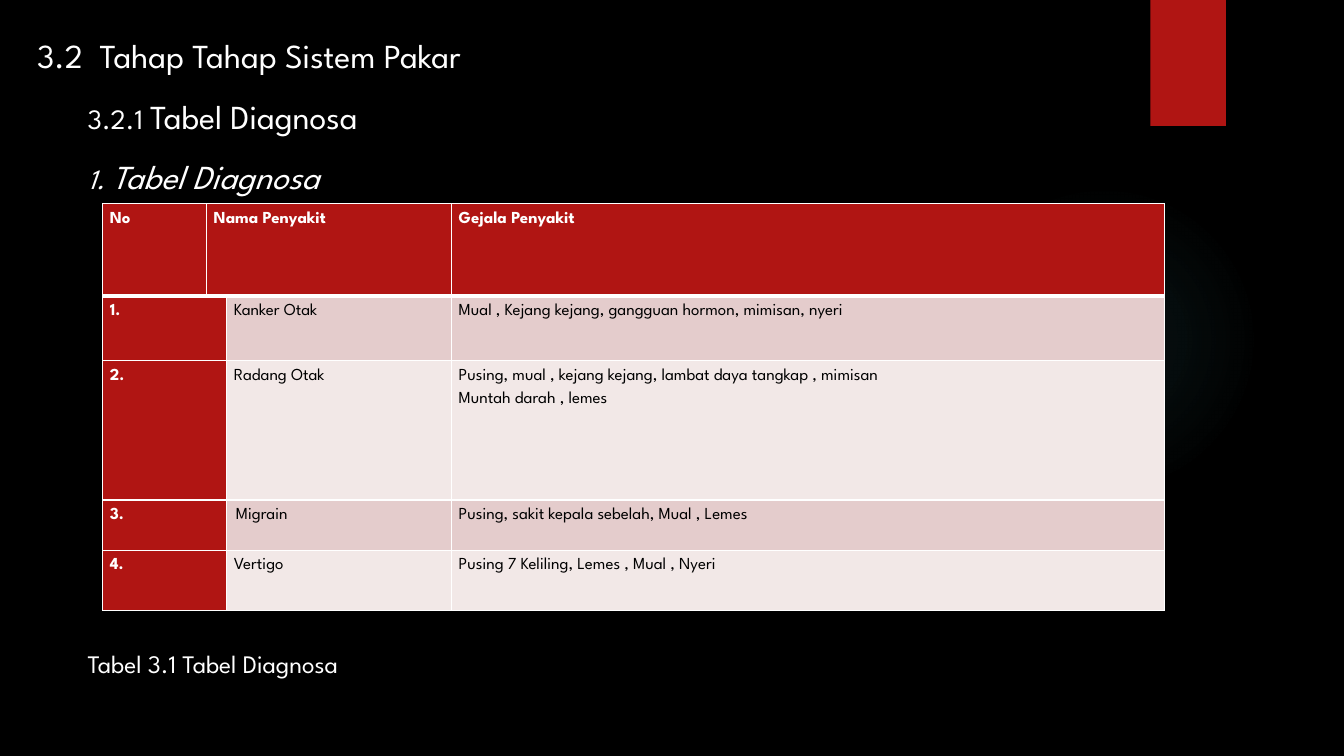
"""Build the diagnosis table slide of an expert-system presentation."""
from dataclasses import dataclass

from lxml import etree
from pptx import Presentation
from pptx import util as u
from pptx.dml.color import RGBColor
from pptx.enum import shapes, text
from pptx.oxml import ns

FONT = "League Spartan"
COLORS = {
    "black": "000000", "white": "FFFFFF", "red": "B01513",
    "glow": "50B9C1", "band_dark": "E4CCCC", "band_light": "F2E8E7",
}
BOX_LEFT, BOX_WIDTH = -0.23, 13.18
COLUMNS = [1.03, 0.2, 2.23, 7.07]
HEADERS = ["No", "Nama Penyakit", "Gejala Penyakit"]
HEADER_HEIGHT = 0.92


@dataclass
class Heading:
    number: str
    title: str
    number_size: int
    indent: float
    spacing: float = 1.5
    italic: bool = False


@dataclass
class Disease:
    name: str
    symptoms: list[str]
    height: float
    indent: float = 0


HEADINGS = [
    Heading("3.2  ", "Tahap Tahap Sistem Pakar", 24, 0.5, spacing=1),
    Heading("3.2.1 ", "Tabel Diagnosa", 20, 1),
    Heading("1. ", "Tabel Diagnosa", 20, 1, italic=True),
]
DISEASES = [
    Disease("Kanker Otak", ["Mual , Kejang kejang, gangguan hormon, mimisan, nyeri"], 0.64),
    Disease("Radang Otak", ["Pusing, mual , kejang kejang, lambat daya tangkap , mimisan",
                            "Muntah darah , lemes"], 1.38),
    Disease("Migrain", ["Pusing, sakit kepala sebelah, Mual , Lemes"], 0.5, indent=0.02),
    Disease("Vertigo", ["Pusing 7 Keliling, Lemes , Mual , Nyeri"], 0.6),
]


def rgb(name: str) -> RGBColor:
    return RGBColor.from_string(COLORS[name])


def add_run(p, content: str, *, size: float, color: str = "white",
            bold: bool = False, italic: bool = False) -> None:
    r = p.add_run()
    r.text = content
    r.font.name, r.font.size = FONT, u.Pt(size)
    r.font.bold, r.font.italic = bold, italic
    r.font.color.rgb = rgb(color)


def format_paragraph(p, *, spacing: float = 1.0, indent: float = 0) -> None:
    p.alignment = text.PP_ALIGN.JUSTIFY
    p.line_spacing = spacing
    if indent:
        p._p.get_or_add_pPr().set("marL", str(u.Inches(indent)))


def add_box(s, top: float, height: float, anchor):
    sp = s.shapes.add_textbox(u.Inches(BOX_LEFT), u.Inches(top),
                              u.Inches(BOX_WIDTH), u.Inches(height))
    tf = sp.text_frame
    tf.word_wrap, tf.vertical_anchor = True, anchor
    return tf


def add_plain_shape(s, kind, left: float, top: float, width: float, height: float):
    sp = s.shapes.add_shape(kind, *map(u.Inches, (left, top, width, height)))
    sp.shadow.inherit = False
    sp.line.fill.background()
    return sp


def add_decor(s) -> None:
    glow = add_plain_shape(s, shapes.MSO_SHAPE.OVAL, 9.41, 1.83, 3.08, 3.08)
    stops = "".join(
        f'<a:gs pos="{pos * 1000}"><a:srgbClr val="{COLORS["glow"]}">'
        f'<a:alpha val="{alpha * 1000}"/></a:srgbClr></a:gs>'
        for pos, alpha in [(0, 7), (36, 6), (69, 0)])
    gradient = etree.fromstring(
        f'<a:gradFill {ns.nsdecls("a")}><a:gsLst>{stops}</a:gsLst><a:path path="circle">'
        '<a:fillToRect l="50000" t="50000" r="50000" b="50000"/></a:path></a:gradFill>')
    glow._element.spPr.find(ns.qn("a:prstGeom")).addnext(gradient)

    ribbon = add_plain_shape(s, shapes.MSO_SHAPE.RECTANGLE, 11.41, 0, 0.75, 1.25)
    ribbon.fill.solid()
    ribbon.fill.fore_color.rgb = rgb("red")


def add_headings(s) -> None:
    tf = add_box(s, 0.3, 1.72, text.MSO_ANCHOR.TOP)
    for i, h in enumerate(HEADINGS):
        p = tf.add_paragraph() if i else tf.paragraphs[0]
        format_paragraph(p, spacing=h.spacing, indent=h.indent)
        add_run(p, h.number, size=h.number_size, italic=h.italic)
        add_run(p, h.title, size=24, italic=h.italic)


def set_borders(cell, *, top: float = 1, bottom: float = 1) -> None:
    tc_pr = cell._tc.get_or_add_tcPr()
    widths = {"lnL": 1, "lnR": 1, "lnT": top, "lnB": bottom}
    for i, (tag, width) in enumerate(widths.items()):
        tc_pr.insert(i, etree.fromstring(
            f'<a:{tag} {ns.nsdecls("a")} w="{u.Pt(width)}"><a:solidFill>'
            f'<a:srgbClr val="{COLORS["white"]}"/></a:solidFill></a:{tag}>'))


def fill_cell(cell, lines: list[str], *, fill: str, color: str = "white",
              bold: bool = False, indent: float = 0) -> None:
    cell.fill.solid()
    cell.fill.fore_color.rgb = rgb(fill)
    cell.margin_left = cell.margin_right = u.Inches(0.07)
    cell.margin_top = cell.margin_bottom = 0
    for i, line in enumerate(lines):
        p = cell.text_frame.add_paragraph() if i else cell.text_frame.paragraphs[0]
        format_paragraph(p, spacing=1.5, indent=indent)
        add_run(p, line, size=12, color=color, bold=bold)


def add_diagnosis_table(s) -> None:
    heights = [HEADER_HEIGHT] + [d.height for d in DISEASES]
    frame = s.shapes.add_table(len(heights), len(COLUMNS), u.Inches(1.02), u.Inches(2.02),
                               u.Inches(sum(COLUMNS)), u.Inches(sum(heights)))
    table = frame.table
    table.horz_banding = table.first_row = False
    for column, width in zip(table.columns, COLUMNS):
        column.width = u.Inches(width)
    for i, (row, height) in enumerate(zip(table.rows, heights)):
        row.height = u.Inches(height)
        for cell in row.cells:
            set_borders(cell, top=3 if i == 1 else 1, bottom=3 if i == 0 else 1)

    table.cell(0, 1).merge(table.cell(0, 2))
    for j, header in zip((0, 1, 3), HEADERS):
        fill_cell(table.cell(0, j), [header], fill="red", bold=True)
    for i, d in enumerate(DISEASES, 1):
        band = "band_dark" if i % 2 else "band_light"
        table.cell(i, 0).merge(table.cell(i, 1))
        fill_cell(table.cell(i, 0), [f"{i}."], fill="red", bold=True)
        fill_cell(table.cell(i, 2), [d.name], fill=band, color="black", indent=d.indent)
        fill_cell(table.cell(i, 3), d.symptoms, fill=band, color="black")


def add_caption(s) -> None:
    p = add_box(s, 6.38, 0.4, text.MSO_ANCHOR.MIDDLE).paragraphs[0]
    format_paragraph(p, indent=1)
    add_run(p, "Tabel 3.1 Tabel Diagnosa", size=18)


def main() -> None:
    prs = Presentation()
    prs.slide_width, prs.slide_height = u.Inches(13.33), u.Inches(7.5)
    s = prs.slides.add_slide(prs.slide_layouts[6])
    s.background.fill.solid()
    s.background.fill.fore_color.rgb = rgb("black")
    add_decor(s)
    add_headings(s)
    add_diagnosis_table(s)
    add_caption(s)
    prs.save("out.pptx")


if __name__ == "__main__":
    main()
